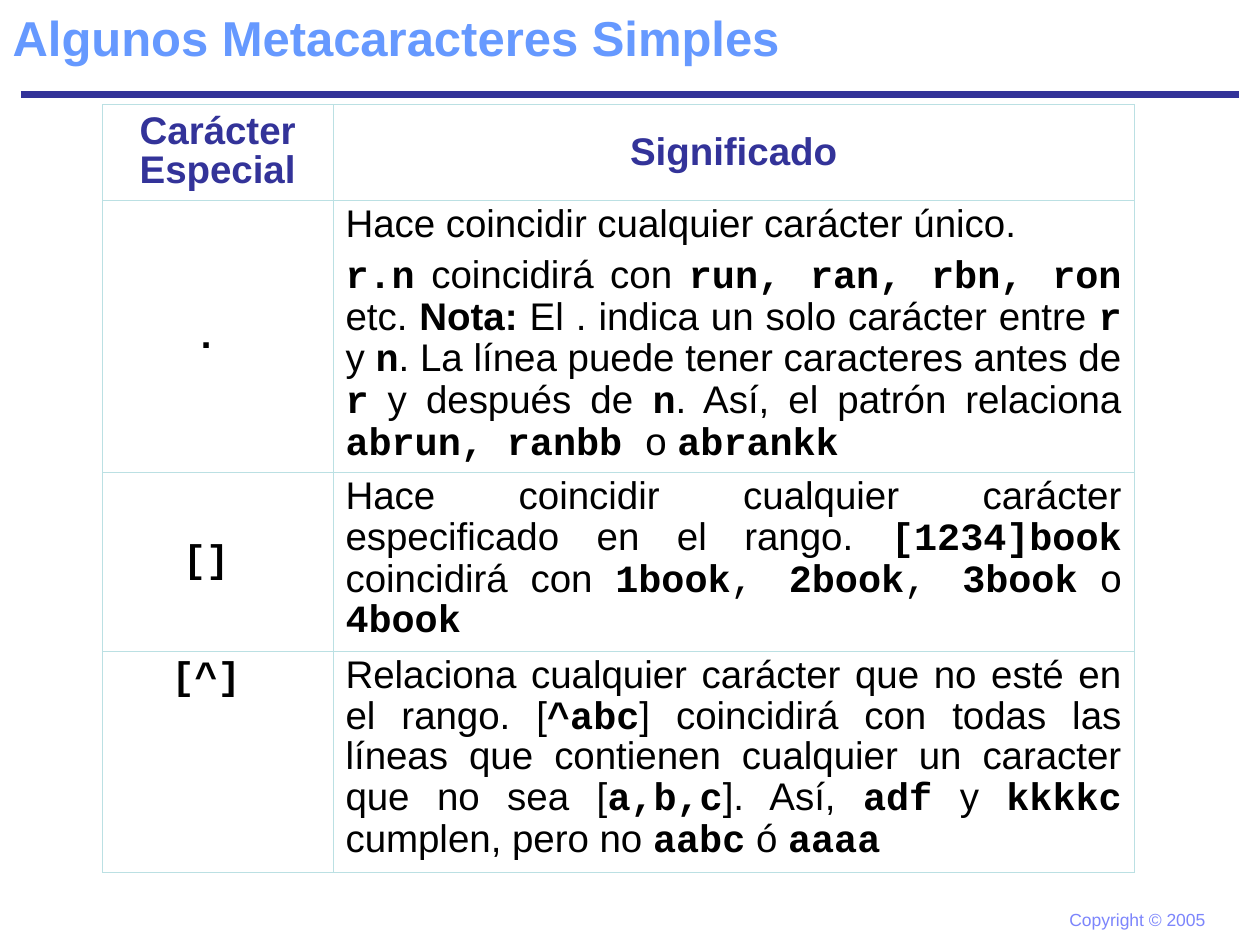
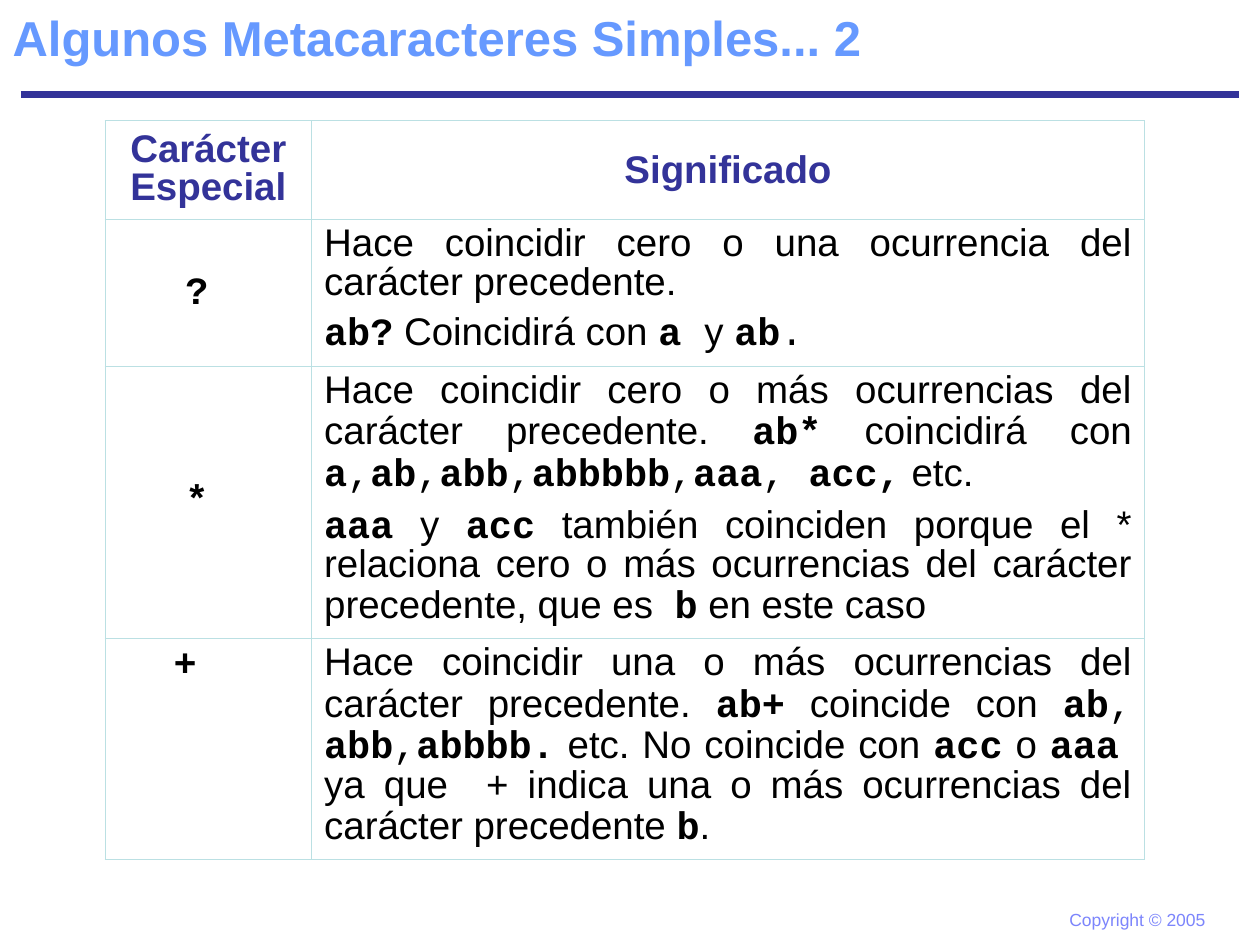
from dataclasses import dataclass

from lxml import etree
from pptx import Presentation
from pptx.dml.color import RGBColor
from pptx.enum.shapes import MSO_CONNECTOR
from pptx.enum.text import MSO_ANCHOR, MSO_AUTO_SIZE, PP_ALIGN
from pptx.oxml.ns import qn
from pptx.util import Pt

STRAIGHT = MSO_CONNECTOR.STRAIGHT
TOP, MIDDLE = MSO_ANCHOR.TOP, MSO_ANCHOR.MIDDLE
NO_AUTO_SIZE, GROW = MSO_AUTO_SIZE.NONE, MSO_AUTO_SIZE.SHAPE_TO_FIT_TEXT
LEFT, CENTER, JUSTIFY = PP_ALIGN.LEFT, PP_ALIGN.CENTER, PP_ALIGN.JUSTIFY


@dataclass(frozen=True)
class Theme:
    title_color: RGBColor = RGBColor(0x66, 0x99, 0xFF)
    accent: RGBColor = RGBColor(0x33, 0x33, 0x99)
    footer_color: RGBColor = RGBColor(0x7C, 0x85, 0xFC)
    text_color: RGBColor = RGBColor(0, 0, 0)
    border_color: str = "BBE0E3"
    title_size: Pt = Pt(28)
    table_size: Pt = Pt(22)
    footer_size: Pt = Pt(10)
    sans: str = "Arial"
    mono: str = "Courier New"


theme = Theme()

BODY = (theme.sans, False)
STRONG = (theme.sans, True)
CODE = (theme.mono, True)
MONO = (theme.mono, False)

CELL_MARGIN = 7.2
CODE_SPACE = 13.2
TIGHT = 0.9

HEADINGS = [("Carácter Especial", TIGHT), ("Significado", 1.0)]

slides = [
    {
        "title": "Algunos Metacaracteres Simples",
        "position": (58.5, 59.75),
        "columns": [131.76, 457.92],
        "heights": [54.72, 155.52, 102.24, 126],
        "rows": [
            (".", MIDDLE, TIGHT, 1, [
                [(BODY, "Hace coincidir cualquier carácter único.")],
                [(CODE, "r.n"), (BODY, " coincidirá con "), (CODE, "run, ran, rbn, ron"),
                 (BODY, " etc."), (STRONG, " Nota: "),
                 (BODY, "El . indica un solo carácter entre "), (CODE, "r"),
                 (BODY, " y "), (CODE, "n"),
                 (BODY, ". La línea puede tener caracteres antes de "), (CODE, "r"),
                 (BODY, " y después de "), (CODE, "n"),
                 (BODY, ". Así, el patrón relaciona "), (CODE, "abrun, ranbb "),
                 (BODY, "o "), (CODE, "abrankk")],
            ]),
            ("[]", MIDDLE, 1.0, 1, [
                [(BODY, "Hace coincidir cualquier carácter especificado en el rango. "),
                 (CODE, "[1234]book"), (BODY, " coincidirá con "), (CODE, "1book"),
                 (MONO, ", "), (CODE, "2book"), (MONO, ", "), (CODE, "3book"),
                 (BODY, " o "), (CODE, "4book")],
            ]),
            ("[^]", TOP, TIGHT, 1, [
                [(BODY, "Relaciona cualquier carácter que no esté en el rango. ["),
                 (CODE, "^abc"),
                 (BODY, "] coincidirá con todas las líneas que contienen "
                        "cualquier un caracter que no sea ["),
                 (CODE, "a,b,c"), (BODY, "]. Así, "), (CODE, "adf"), (BODY, " y "),
                 (CODE, "kkkkc"), (BODY, " cumplen, pero no "), (CODE, "aabc"),
                 (BODY, " ó "), (CODE, "aaaa")],
            ]),
        ],
    },
    {
        "title": "Algunos Metacaracteres Simples... 2",
        "position": (60, 69),
        "columns": [118.08, 475.92],
        "heights": [56.16, 84.24, 155.52, 126],
        "rows": [
            ("?", MIDDLE, TIGHT, 1, [
                [(BODY, "Hace coincidir cero o una ocurrencia del carácter precedente.")],
                [(CODE, "ab?"), (BODY, " Coincidirá con "), (CODE, "a "), (BODY, "y "),
                 (CODE, "ab"), (MONO, ".")],
            ]),
            ("*", MIDDLE, 1.0, 1, [
                [(BODY, "Hace coincidir cero o más ocurrencias del carácter precedente. "),
                 (CODE, "ab*"), (BODY, " coincidirá con "), (CODE, "a"), (MONO, ","),
                 (CODE, "ab"), (MONO, ","), (CODE, "abb"), (MONO, ","),
                 (CODE, "abbbbb"), (MONO, ","), (CODE, "aaa"), (MONO, ", "),
                 (CODE, "acc,"), (BODY, " etc.")],
                [(CODE, "aaa"), (BODY, " y "), (CODE, "acc"),
                 (BODY, " también coinciden porque el * relaciona cero o más "
                        "ocurrencias del carácter precedente, que es  "),
                 (CODE, "b"), (BODY, " en este caso")],
            ]),
            ("+", TOP, TIGHT, 2, [
                [(BODY, "Hace coincidir una o más ocurrencias del carácter precedente. "),
                 (CODE, "ab+"), (BODY, " coincide con "), (CODE, "ab"), (MONO, ", "),
                 (CODE, "abb"), (MONO, ","), (CODE, "abbbb."),
                 (BODY, " etc. No coincide con "), (CODE, "acc"), (BODY, " o "),
                 (CODE, "aaa"),
                 (BODY, "  ya que  + indica una o más ocurrencias del carácter precedente "),
                 (CODE, "b"), (BODY, ".")],
            ]),
        ],
    },
]


def format_font(font, size, color, name=None, bold=None):
    font.size = size
    font.color.rgb = color
    font.name = name
    font.bold = bold


def outline_cell(cell):
    properties = cell._tc.get_or_add_tcPr()
    for side in ("a:lnL", "a:lnR", "a:lnT", "a:lnB"):
        border = etree.SubElement(properties, qn(side), w=str(Pt(0.45)))
        fill = etree.SubElement(border, qn("a:solidFill"))
        etree.SubElement(fill, qn("a:srgbClr"), val=theme.border_color)
    cell.fill.background()


presentation = Presentation()
presentation.slide_width = Pt(720)
presentation.slide_height = Pt(540)
title_only = presentation.slide_layouts[5]

for content in slides:
    slide = presentation.slides.add_slide(title_only)

    rule = slide.shapes.add_connector(STRAIGHT, Pt(12), Pt(54), Pt(708), Pt(54))
    rule.line.color.rgb = theme.accent
    rule.line.width = Pt(4.5)
    etree.SubElement(rule._element.spPr, qn("a:effectLst"))

    footer = slide.shapes.add_textbox(Pt(604), Pt(516), Pt(92), Pt(19.5))
    footer.text_frame.word_wrap = False
    footer.text_frame.auto_size = GROW
    paragraph = footer.text_frame.paragraphs[0]
    paragraph.text = "Copyright © 2005"
    format_font(paragraph.font, theme.footer_size, theme.footer_color, theme.sans)

    title = slide.shapes.title
    title.left, title.top, title.width, title.height = Pt(0), Pt(0), Pt(612), Pt(42)
    title.text_frame.auto_size = NO_AUTO_SIZE
    title.text_frame.vertical_anchor = MIDDLE
    paragraph = title.text_frame.paragraphs[0]
    paragraph.text = content["title"]
    paragraph.alignment = LEFT
    format_font(paragraph.font, theme.title_size, theme.title_color, theme.sans, True)

    left, top = content["position"]
    columns, heights = content["columns"], content["heights"]
    table = slide.shapes.add_table(
        len(heights), len(columns), Pt(left), Pt(top), Pt(sum(columns)), Pt(sum(heights))
    ).table
    table.first_row = False
    table.horz_banding = False
    for column, width in zip(table.columns, columns):
        column.width = Pt(width)
    for row, height in zip(table.rows, heights):
        row.height = Pt(height)
    for cell in table.iter_cells():
        outline_cell(cell)

    for cell, (heading, spacing) in zip(table.rows[0].cells, HEADINGS):
        cell.vertical_anchor = MIDDLE
        paragraph = cell.text_frame.paragraphs[0]
        paragraph.text = heading
        paragraph.alignment = CENTER
        paragraph.line_spacing = spacing
        format_font(paragraph.font, theme.table_size, theme.accent, theme.sans, True)

    for row_index, row_content in enumerate(content["rows"], start=1):
        symbol, anchor, spacing, shift, meaning = row_content
        symbol_cell, meaning_cell = table.rows[row_index].cells

        symbol_cell.vertical_anchor = anchor
        symbol_cell.margin_right = Pt(CELL_MARGIN + shift * CODE_SPACE)
        paragraph = symbol_cell.text_frame.paragraphs[0]
        paragraph.text = symbol
        paragraph.alignment = CENTER
        paragraph.line_spacing = spacing
        format_font(paragraph.font, theme.table_size, theme.text_color, theme.mono, True)

        meaning_frame = meaning_cell.text_frame
        for index, runs in enumerate(meaning):
            if index == 0:
                paragraph = meaning_frame.paragraphs[0]
            else:
                paragraph = meaning_frame.add_paragraph()
                paragraph.space_before = Pt(5.5)
            paragraph.alignment = JUSTIFY
            paragraph.line_spacing = TIGHT
            format_font(paragraph.font, theme.table_size, theme.text_color)
            for (font_name, bold), text in runs:
                run = paragraph.add_run()
                run.text = text
                run.font.name = font_name
                run.font.bold = bold

presentation.save("out.pptx")
